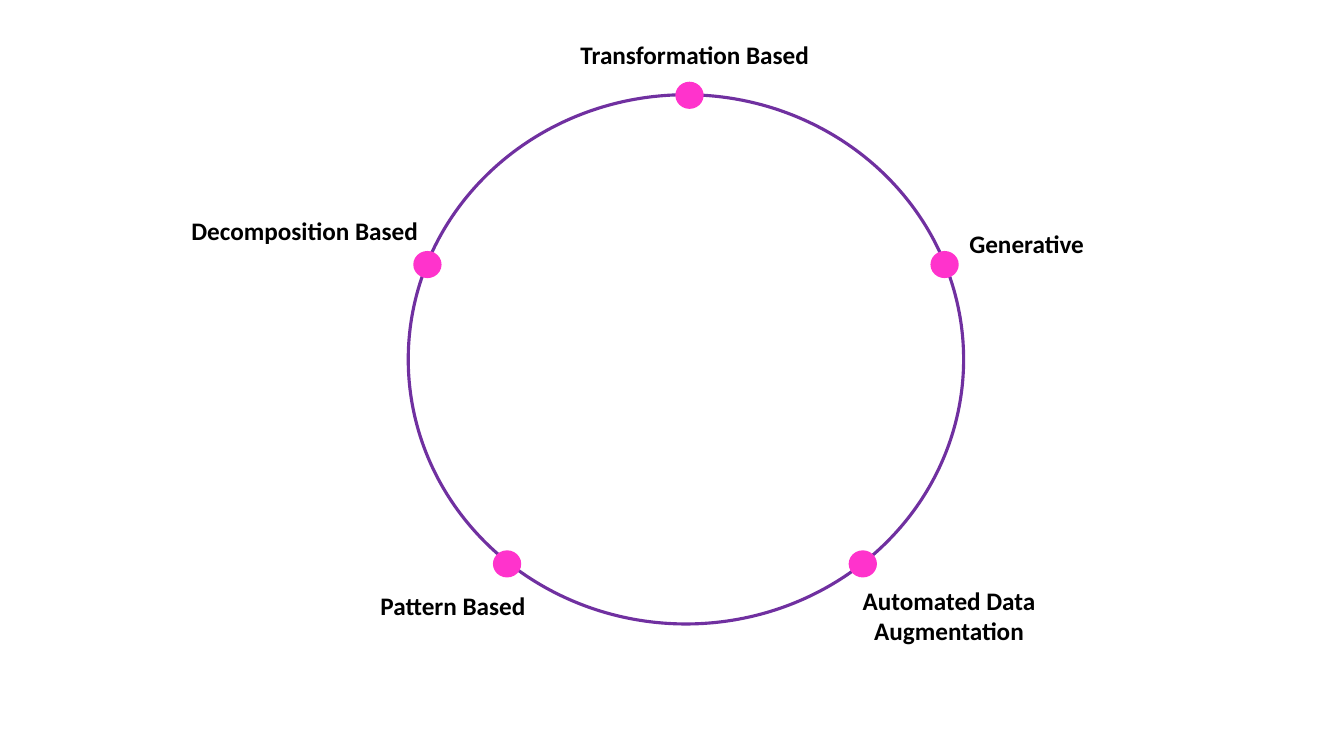
import pptx
import pptx.util
from pptx.dml.color import RGBColor
from pptx.enum.shapes import MSO_SHAPE
from pptx.enum.text import MSO_AUTO_SIZE, PP_ALIGN

Pt = pptx.util.Pt

COLORS = {"ring": "7030A0", "dot": "FF33CC", "text": "000000"}
DOT_WIDTH, DOT_HEIGHT = 20.2, 19.4
LABEL_WIDTH = 190.8
ONE_LINE, TWO_LINES = 28.8, 51.1

# Each stage: label, dot left and top, label left and top, label height, alignment
STAGES = [
    ("Transformation Based", (482.4, 58.4), (407.5, 24.5), ONE_LINE, PP_ALIGN.LEFT),
    ("Generative", (664.6, 179.3), (637.9, 159.8), ONE_LINE, PP_ALIGN.CENTER),
    ("Automated Data Augmentation", (606.2, 393.1), (582.5, 414.7), TWO_LINES, PP_ALIGN.CENTER),
    ("Pattern Based", (352.1, 393.1), (228.2, 418.3), ONE_LINE, PP_ALIGN.CENTER),
    ("Decomposition Based", (295.2, 179.3), (129.6, 150.5), ONE_LINE, PP_ALIGN.LEFT),
]


def color(name):
    return RGBColor.from_string(COLORS[name])


def add_ellipse(page, left, top, width, height):
    ellipse = page.shapes.add_shape(
        MSO_SHAPE.OVAL, Pt(left), Pt(top), Pt(width), Pt(height))
    ellipse.shadow.inherit = False
    return ellipse


def add_ring(page):
    ring = add_ellipse(page, 291.6, 67.7, 396.7, 378)
    ring.fill.background()
    ring.line.color.rgb = color("ring")
    ring.line.width = Pt(2.25)


def add_dot(page, left, top):
    dot = add_ellipse(page, left, top, DOT_WIDTH, DOT_HEIGHT)
    dot.fill.solid()
    dot.fill.fore_color.rgb = color("dot")
    dot.line.fill.background()


def add_label(page, text, left, top, height, alignment):
    box = page.shapes.add_textbox(Pt(left), Pt(top), Pt(LABEL_WIDTH), Pt(height))
    frame = box.text_frame
    frame.word_wrap = True
    frame.auto_size = MSO_AUTO_SIZE.SHAPE_TO_FIT_TEXT
    para = frame.paragraphs[0]
    para.text = text
    para.alignment = alignment
    para.font.name = "Calibri"
    para.font.size = Pt(18)
    para.font.bold = True
    para.font.color.rgb = color("text")


def main():
    deck = pptx.Presentation()
    deck.slide_width, deck.slide_height = Pt(960), Pt(540)
    page = deck.slides.add_slide(deck.slide_layouts[6])

    # Circle that links the stages
    add_ring(page)

    # Dots on the circle with their labels
    for text, dot_at, label_at, height, alignment in STAGES:
        add_dot(page, *dot_at)
        add_label(page, text, *label_at, height, alignment)

    deck.save("out.pptx")


if __name__ == "__main__":
    main()
